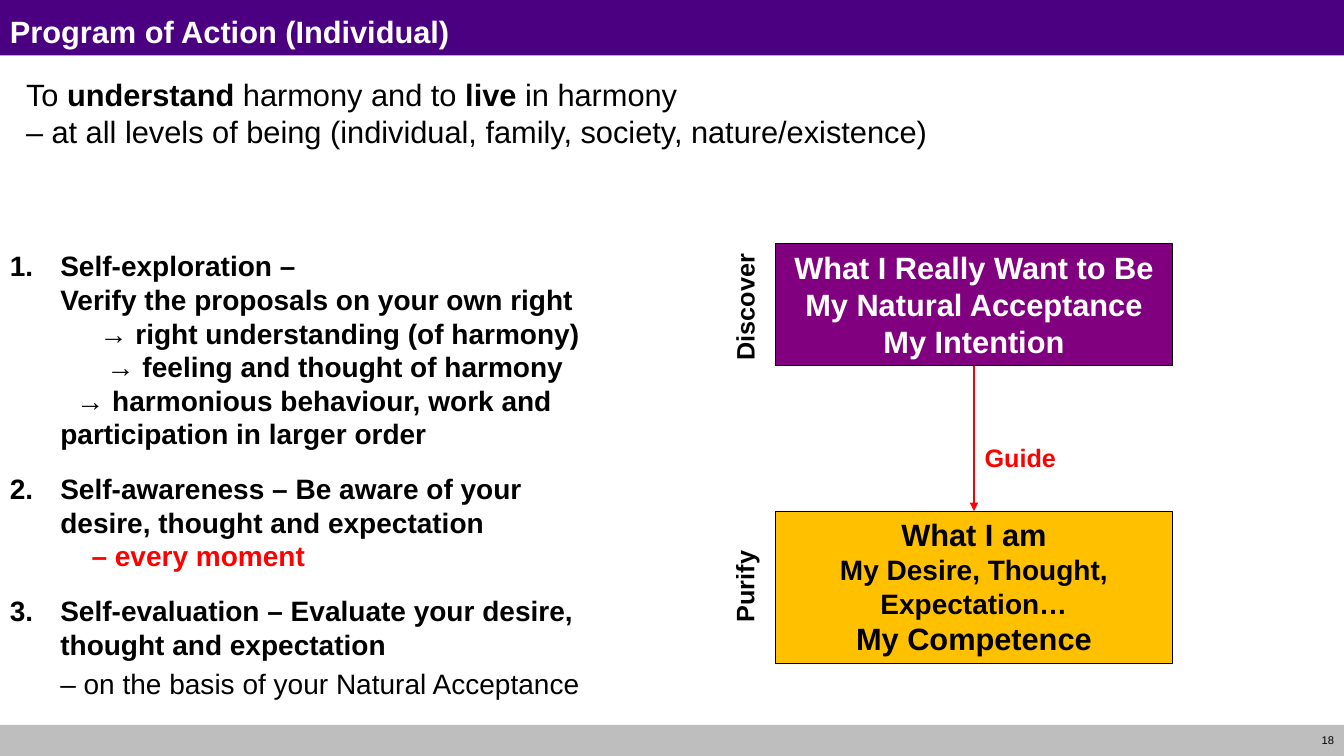
from dataclasses import dataclass

from lxml.etree import SubElement
from pptx import Presentation
from pptx.dml.color import RGBColor
from pptx.enum.shapes import MSO_CONNECTOR, MSO_SHAPE
from pptx.enum.text import MSO_ANCHOR, PP_ALIGN
from pptx.oxml.ns import qn
from pptx.util import Inches, Pt

COLORS = {
    "indigo": "4B0082",
    "gray": "BEBEBE",
    "purple": "800080",
    "amber": "FFC000",
    "red": "FF0000",
    "black": "000000",
    "white": "FFFFFF",
}
FONT = "Arial"
NUMBER_INDENT = 0.5
STEP_GAP = 15
STEPS = [
    (1, 0.5, 0, "Self-exploration –", "black", True),
    (None, 0.5, 0, "Verify the proposals on your own right", "black", True),
    (None, 0.89, 0, "→ right understanding (of harmony)", "black", True),
    (None, 0.96, 0, "→ feeling and thought of harmony", "black", True),
    (None, 0.66, 0, "→ harmonious behaviour, work and", "black", True),
    (None, 0.5, 0, "participation in larger order", "black", True),
    (2, 0.5, STEP_GAP, "Self-awareness – Be aware of your desire, thought and expectation", "black", True),
    (None, 0.81, 0, "– every moment", "red", True),
    (3, 0.5, STEP_GAP, "Self-evaluation – Evaluate your desire, thought and expectation", "black", True),
    (None, 0.5, 4, "– on the basis of your Natural Acceptance", "black", False),
]


@dataclass
class Box:
    """A rectangle in slide units."""

    left: int
    top: int
    width: int
    height: int

    def share(self, left, top, width, height):
        """Return an inner box given in percent of this one."""
        return Box(
            round(self.left + self.width * left / 100),
            round(self.top + self.height * top / 100),
            round(self.width * width / 100),
            round(self.height * height / 100),
        )

    def bounds(self):
        """Return the four lengths in shape order."""
        return self.left, self.top, self.width, self.height


def color(name):
    """Look up a named colour."""
    return RGBColor.from_string(COLORS[name])


def add_run(paragraph, text, size, color_name="black", bold=True):
    """Append one styled run."""
    run = paragraph.add_run()
    run.text = text
    run.font.name = FONT
    run.font.size = Pt(size)
    run.font.bold = bold
    run.font.color.rgb = color(color_name)


def add_lines(frame, lines, color_name="black", align=PP_ALIGN.LEFT):
    """Fill a frame with paragraphs made of (text, size, bold) runs."""
    for index, runs in enumerate(lines):
        paragraph = frame.paragraphs[0] if index == 0 else frame.add_paragraph()
        paragraph.alignment = align
        for text, size, bold in runs:
            add_run(paragraph, text, size, color_name, bold)


def add_text(slide, box, lines, color_name="black", align=PP_ALIGN.LEFT, wrap=True):
    """Place a text box and return it."""
    shape = slide.shapes.add_textbox(*box.bounds())
    shape.text_frame.word_wrap = wrap
    add_lines(shape.text_frame, lines, color_name, align)
    return shape


def add_rectangle(slide, box, fill, outlined=False):
    """Place a plain filled rectangle."""
    shape = slide.shapes.add_shape(MSO_SHAPE.RECTANGLE, *box.bounds())
    shape.shadow.inherit = False
    shape.fill.solid()
    shape.fill.fore_color.rgb = color(fill)
    if outlined:
        shape.line.color.rgb = color("black")
        shape.line.width = Pt(0.75)
    else:
        shape.line.fill.background()
    return shape


def add_header(slide, box):
    """Draw the title bar."""
    add_rectangle(slide, box, "indigo")
    title = [("Program of Action (Individual)", 22, True)]
    add_text(slide, box.share(0, 14.5, 100, 77), [title], "white")


def add_footer(slide, box):
    """Draw the bottom bar with the slide number."""
    add_rectangle(slide, box, "gray")
    number = add_text(slide, box.share(95.35, 0, 4.65, 100), [[("18", 8, False)]], align=PP_ALIGN.RIGHT)
    number.text_frame.vertical_anchor = MSO_ANCHOR.MIDDLE


def add_goal(slide, box):
    """Write the opening statement."""
    phrases = ["To ", "understand", " harmony and to ", "live", " in harmony"]
    goal = [(phrase, 22, index % 2 == 1) for index, phrase in enumerate(phrases)]
    levels = [("– at all levels of being (individual, family, society, nature/existence)", 22, False)]
    add_text(slide, box, [goal, levels])


def add_steps(slide, box):
    """Write the numbered steps with their indented details."""
    frame = slide.shapes.add_textbox(*box.bounds()).text_frame
    frame.word_wrap = True
    for index, (number, indent, gap, text, color_name, bold) in enumerate(STEPS):
        paragraph = frame.paragraphs[0] if index == 0 else frame.add_paragraph()
        properties = paragraph._p.get_or_add_pPr()
        properties.set("marL", str(Inches(indent)))
        properties.set("indent", str(-Inches(NUMBER_INDENT) if number else 0))
        if number:
            SubElement(properties, qn("a:buFont"), typeface="+mj-lt")
            SubElement(properties, qn("a:buAutoNum"), type="arabicPeriod", startAt=str(number))
        if gap:
            paragraph.space_before = Pt(gap)
        add_run(paragraph, text, 20, color_name, bold)


def add_card(slide, box, fill, lines, color_name):
    """Draw an outlined card with centred lines."""
    card = add_rectangle(slide, box, fill, outlined=True)
    card.text_frame.word_wrap = True
    card.text_frame.vertical_anchor = MSO_ANCHOR.TOP
    runs = [[(text, size, True)] for text, size in lines]
    add_lines(card.text_frame, runs, color_name, PP_ALIGN.CENTER)
    return card


def add_arrow(slide, source, target):
    """Join the bottom of one card to the top of another."""
    arrow = slide.shapes.add_connector(MSO_CONNECTOR.STRAIGHT, 0, 0, 0, 0)
    arrow.begin_connect(source, 2)
    arrow.end_connect(target, 0)
    arrow.line.color.rgb = color("red")
    arrow.line.width = Pt(2)
    properties = arrow._element.spPr
    SubElement(properties.get_or_add_ln(), qn("a:tailEnd"), type="triangle")
    SubElement(properties, qn("a:effectLst"))


def add_guidance(slide, box):
    """Draw the two cards, the guiding arrow and the side labels."""
    wanted = [("What I Really Want to Be", 22), ("My Natural Acceptance", 22), ("My Intention", 22)]
    actual = [("What I am", 22), ("My Desire, Thought, Expectation…", 20), ("My Competence", 22)]
    intention = add_card(slide, box.share(19.3, 0, 80.7, 29.1), "purple", wanted, "white")
    competence = add_card(slide, box.share(19.3, 63.7, 80.7, 36.3), "amber", actual, "black")
    add_arrow(slide, intention, competence)
    add_text(slide, box.share(59.8, 46.15, 18.9, 9.6), [[("Guide", 18, True)]], "red", wrap=False)
    for text, left, top, width in [("Discover", 0, 10.3, 26), ("Purify", 3.5, 76.9, 18.9)]:
        label = add_text(slide, box.share(left, top, width, 9.6), [[(text, 18, True)]],
                         align=PP_ALIGN.CENTER, wrap=False)
        label.rotation = 270


def main():
    """Build and save the slide."""
    presentation = Presentation()
    presentation.slide_width = Inches(13.33)
    presentation.slide_height = Inches(7.5)
    slide = presentation.slides.add_slide(presentation.slide_layouts[6])
    page = Box(0, 0, presentation.slide_width, presentation.slide_height)
    add_header(slide, page.share(0, 0, 100, 7.33))
    add_footer(slide, page.share(0, 95.87, 100, 4.13))
    add_steps(slide, page.share(0, 32.27, 46.3, 63.33))
    add_guidance(slide, page.share(50.64, 32.27, 36.6, 55.47))
    add_goal(slide, page.share(1.2, 9.33, 74.7, 11.2))
    presentation.save("out.pptx")


if __name__ == "__main__":
    main()
